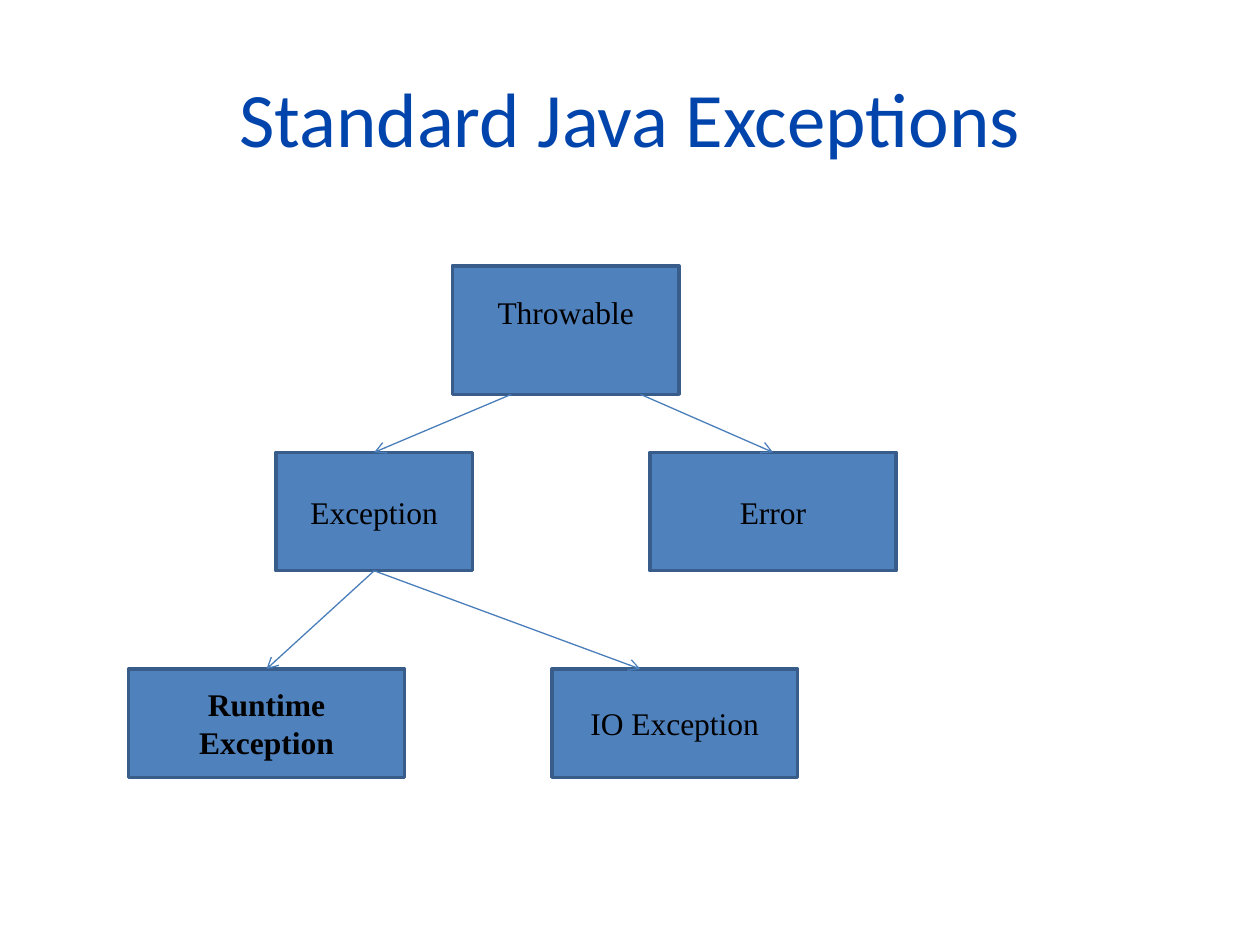
from dataclasses import dataclass

from lxml.etree import SubElement
from pptx import Presentation
from pptx.dml.color import RGBColor
from pptx.enum.shapes import MSO_CONNECTOR, MSO_SHAPE
from pptx.enum.text import MSO_ANCHOR, PP_ALIGN
from pptx.oxml.ns import qn
from pptx.util import Inches, Pt


@dataclass(frozen=True)
class Theme:
    title_color: RGBColor = RGBColor(0x00, 0x44, 0xAC)
    node_fill: RGBColor = RGBColor(0x4F, 0x81, 0xBD)
    node_border: RGBColor = RGBColor(0x38, 0x5D, 0x8A)
    node_text: RGBColor = RGBColor(0x00, 0x00, 0x00)
    arrow_color: RGBColor = RGBColor(0x4A, 0x7E, 0xBB)
    title_font: str = "Calibri"
    node_font: str = "Times New Roman"
    title_size: Pt = Pt(44)
    node_size: Pt = Pt(18)
    border_width: Pt = Pt(2)
    arrow_width: Pt = Pt(0.75)


@dataclass(frozen=True)
class Node:
    lines: tuple
    left: float
    top: float
    width: float
    height: float
    bold: bool = False
    bottom_inset: float = 0.05


THEME = Theme()

NODES = {
    "throwable": Node(("Throwable",), 2.57, 0, 1.8, 1.02, bottom_inset=0.34),
    "exception": Node(("Exception",), 1.17, 1.48, 1.56, 0.94),
    "error": Node(("Error",), 4.14, 1.48, 1.95, 0.94),
    "runtime": Node(("Runtime", "Exception"), 0, 3.2, 2.19, 0.86, bold=True),
    "io": Node(("IO Exception",), 3.36, 3.2, 1.95, 0.86),
}

LINKS = [
    ("throwable", 0.26, "exception", 0.5),
    ("throwable", 0.83, "error", 0.5),
    ("exception", 0.5, "runtime", 0.5),
    ("exception", 0.5, "io", 0.36),
]


def style_paragraph(para, font_name, size, color, bold=False):
    para.alignment = PP_ALIGN.CENTER
    para.font.name = font_name
    para.font.size = size
    para.font.color.rgb = color
    para.font.bold = bold


def place_title(page, text, left, top, width, height):
    title = page.shapes.title
    title.left, title.top = left, top
    title.width, title.height = width, height
    title.text_frame.text = text
    title.text_frame.vertical_anchor = MSO_ANCHOR.MIDDLE
    style_paragraph(title.text_frame.paragraphs[0], THEME.title_font,
                    THEME.title_size, THEME.title_color)


def add_node(page, node, left, top):
    box = page.shapes.add_shape(
        MSO_SHAPE.RECTANGLE, left + Inches(node.left), top + Inches(node.top),
        Inches(node.width), Inches(node.height))
    box.shadow.inherit = False
    box.fill.solid()
    box.fill.fore_color.rgb = THEME.node_fill
    box.line.color.rgb = THEME.node_border
    box.line.width = THEME.border_width
    frame = box.text_frame
    frame.word_wrap = True
    frame.vertical_anchor = MSO_ANCHOR.MIDDLE
    frame.margin_bottom = Inches(node.bottom_inset)
    frame.text = "\n".join(node.lines)
    for para in frame.paragraphs:
        style_paragraph(para, THEME.node_font, THEME.node_size,
                        THEME.node_text, node.bold)
    return box


def add_arrow(page, parent, parent_share, child, child_share):
    arrow = page.shapes.add_connector(
        MSO_CONNECTOR.STRAIGHT,
        int(parent.left + parent.width * parent_share),
        parent.top + parent.height,
        int(child.left + child.width * child_share), child.top)
    arrow.line.color.rgb = THEME.arrow_color
    arrow.line.width = THEME.arrow_width
    SubElement(arrow.line._get_or_add_ln(), qn("a:tailEnd"), type="arrow")
    SubElement(arrow._element.spPr, qn("a:effectLst"))


def draw_hierarchy(page, left, top):
    boxes = {name: add_node(page, node, left, top) for name, node in NODES.items()}
    for parent, parent_share, child, child_share in LINKS:
        add_arrow(page, boxes[parent], parent_share, boxes[child], child_share)


def main():
    deck = Presentation()
    deck.slide_width, deck.slide_height = Inches(10), Inches(7.5)
    page = deck.slides.add_slide(deck.slide_layouts[5])
    place_title(page, "Standard Java Exceptions",
                Inches(0.5), Inches(0.3), Inches(9), Inches(1.25))
    draw_hierarchy(page, Inches(1.02), Inches(2.11))
    deck.save("out.pptx")


if __name__ == "__main__":
    main()
